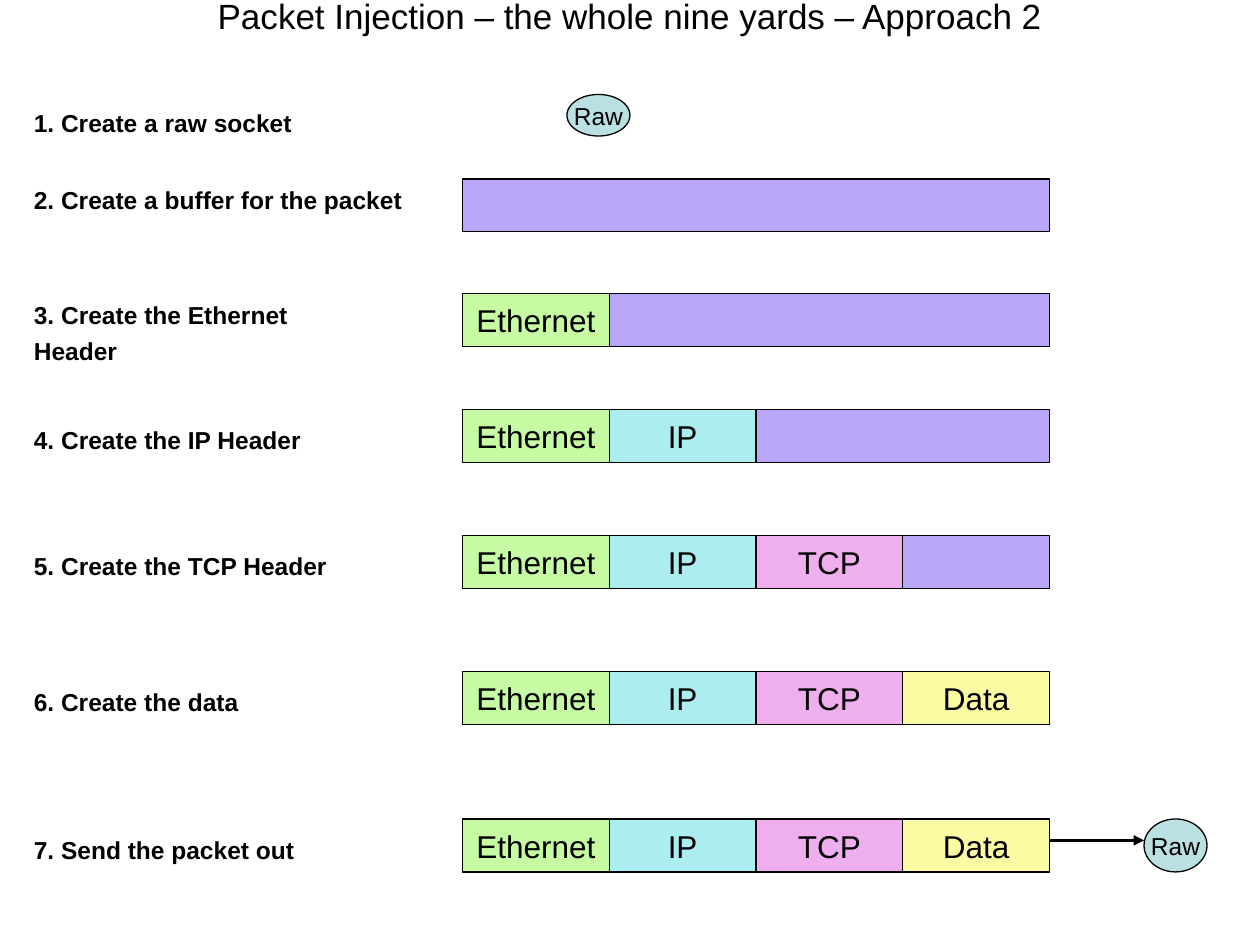
from lxml import etree
from pptx import Presentation
from pptx.dml.color import RGBColor
from pptx.enum.shapes import MSO_CONNECTOR, MSO_SHAPE
from pptx.enum.text import MSO_ANCHOR, MSO_AUTO_SIZE, PP_ALIGN
from pptx.oxml.ns import qn
from pptx.util import Inches, Pt

RECTANGLE, OVAL = MSO_SHAPE.RECTANGLE, MSO_SHAPE.OVAL
STRAIGHT = MSO_CONNECTOR.STRAIGHT
MIDDLE, CENTER = MSO_ANCHOR.MIDDLE, PP_ALIGN.CENTER
GROW = MSO_AUTO_SIZE.SHAPE_TO_FIT_TEXT

FONT, BLACK = "Arial", "000000"
BUFFER_COLOR, SOCKET_COLOR = "BAA6F8", "BBE0E3"
TITLE = "Packet Injection – the whole nine yards – Approach 2"

FIELDS = [
    ("Ethernet", "C7FBA3"),
    ("IP", "ACEDF2"),
    ("TCP", "EFAFEF"),
    ("Data", "FBFBA3"),
]

# label, top, width, height, space before, has a taller trailing space
STEPS = [
    ("1. Create a raw socket", 0.75, 2.83, 0.4, 11.2, True),
    ("2. Create a buffer for the packet ", 1.42, 3.17, 0.64, 11.2, True),
    ("3. Create the Ethernet Header ", 2.33, 2.92, 0.64, 11.2, True),
    ("4. Create the IP Header", 3.27, 2.42, 0.4, 11.2, True),
    ("5. Create the TCP Header", 4.27, 2.58, 0.4, 11.2, True),
    ("6. Create the data", 5.35, 2, 0.4, 11.2, True),
    ("7. Send the packet out", 6.58, 2.83, 0.34, 8.8, False),
]

# top, number of fields filled in
PACKETS = [(1.42, 0), (2.33, 1), (3.25, 2), (4.25, 3), (5.33, 4), (6.5, 4)]
SOCKETS = [(4.5, 0.75, 0.33), (9.08, 6.5, 0.42)]

STEP_LEFT = 0.17
PACKET_LEFT, PACKET_RIGHT, PACKET_HEIGHT = 3.67, 8.33, 0.42
FIELD_WIDTH = (PACKET_RIGHT - PACKET_LEFT) / len(FIELDS)
ARROW_TOP = 6.67


def color(value):
    return RGBColor.from_string(value)


def style_span(span, size, bold=False):
    span.font.name = FONT
    span.font.size = Pt(size)
    span.font.bold = bold
    span.font.color.rgb = color(BLACK)


def add_text(page, text, left, top, width, height, size, bold=False):
    box = page.shapes.add_textbox(*map(Inches, (left, top, width, height)))
    frame = box.text_frame
    frame.word_wrap = True
    frame.text = text
    para = frame.paragraphs[0]
    style_span(para.runs[0], size, bold)
    return frame, para


def add_block(page, kind, left, top, width, height, fill, text="", size=18):
    block = page.shapes.add_shape(kind, *map(Inches, (left, top, width, height)))
    block.shadow.inherit = False
    block.fill.solid()
    block.fill.fore_color.rgb = color(fill)
    block.line.color.rgb = color(BLACK)
    block.line.width = Pt(0.75)
    if text:
        frame = block.text_frame
        frame.text = text
        frame.word_wrap = False
        frame.vertical_anchor = MIDDLE
        para = frame.paragraphs[0]
        para.alignment = CENTER
        style_span(para.runs[0], size)


def add_step(page, label, top, width, height, space_before, tall_end):
    frame, para = add_text(page, label, STEP_LEFT, top, width, height, 14, True)
    frame.auto_size = GROW
    para.space_before = Pt(space_before)
    if tall_end:
        span = para.add_run()
        span.text = " "
        style_span(span, 18)


def add_packet(page, top, filled):
    for index, (name, fill) in enumerate(FIELDS[:filled]):
        left = PACKET_LEFT + index * FIELD_WIDTH
        add_block(page, RECTANGLE, left, top, FIELD_WIDTH, PACKET_HEIGHT, fill, name)
    if filled < len(FIELDS):
        left = PACKET_LEFT + filled * FIELD_WIDTH
        add_block(page, RECTANGLE, left, top, PACKET_RIGHT - left, PACKET_HEIGHT, BUFFER_COLOR)


def add_arrow(page, start, end, top):
    arrow = page.shapes.add_connector(STRAIGHT, *map(Inches, (start, top, end, top)))
    arrow.line.color.rgb = color(BLACK)
    arrow.line.width = Pt(1.5)
    etree.SubElement(arrow.line._get_or_add_ln(), qn("a:tailEnd"), type="triangle")
    etree.SubElement(arrow._element.spPr, qn("a:effectLst"))


def main():
    deck = Presentation()
    deck.slide_width, deck.slide_height = Inches(10), Inches(7.5)
    page = deck.slides.add_slide(deck.slide_layouts[6])

    frame, para = add_text(page, TITLE, 0.5, -0.17, 9, 0.58, 20)
    frame.vertical_anchor = MIDDLE
    para.alignment = CENTER

    for step in STEPS:
        add_step(page, *step)
    for packet in PACKETS:
        add_packet(page, *packet)
    for left, top, height in SOCKETS:
        add_block(page, OVAL, left, top, 0.5, height, SOCKET_COLOR, "Raw", 14)
    add_arrow(page, PACKET_RIGHT, SOCKETS[-1][0], ARROW_TOP)

    deck.save("out.pptx")


if __name__ == "__main__":
    main()
